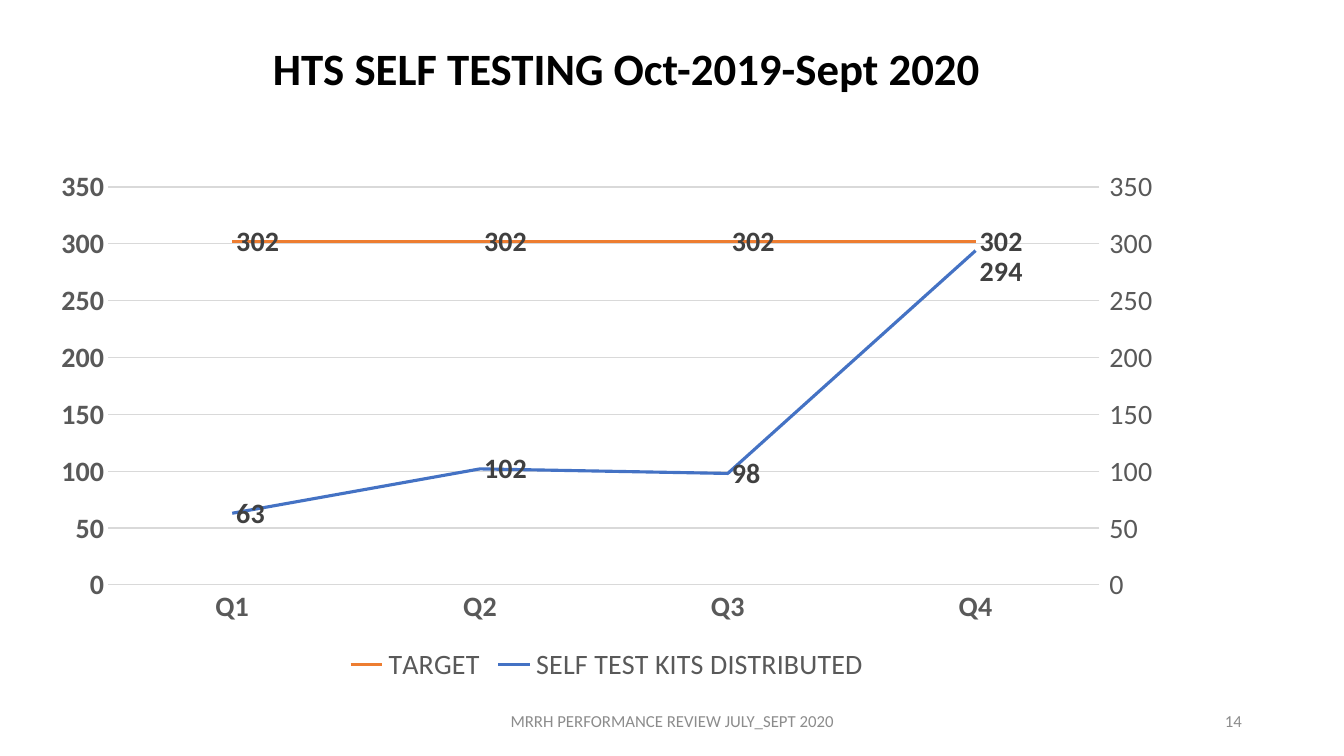
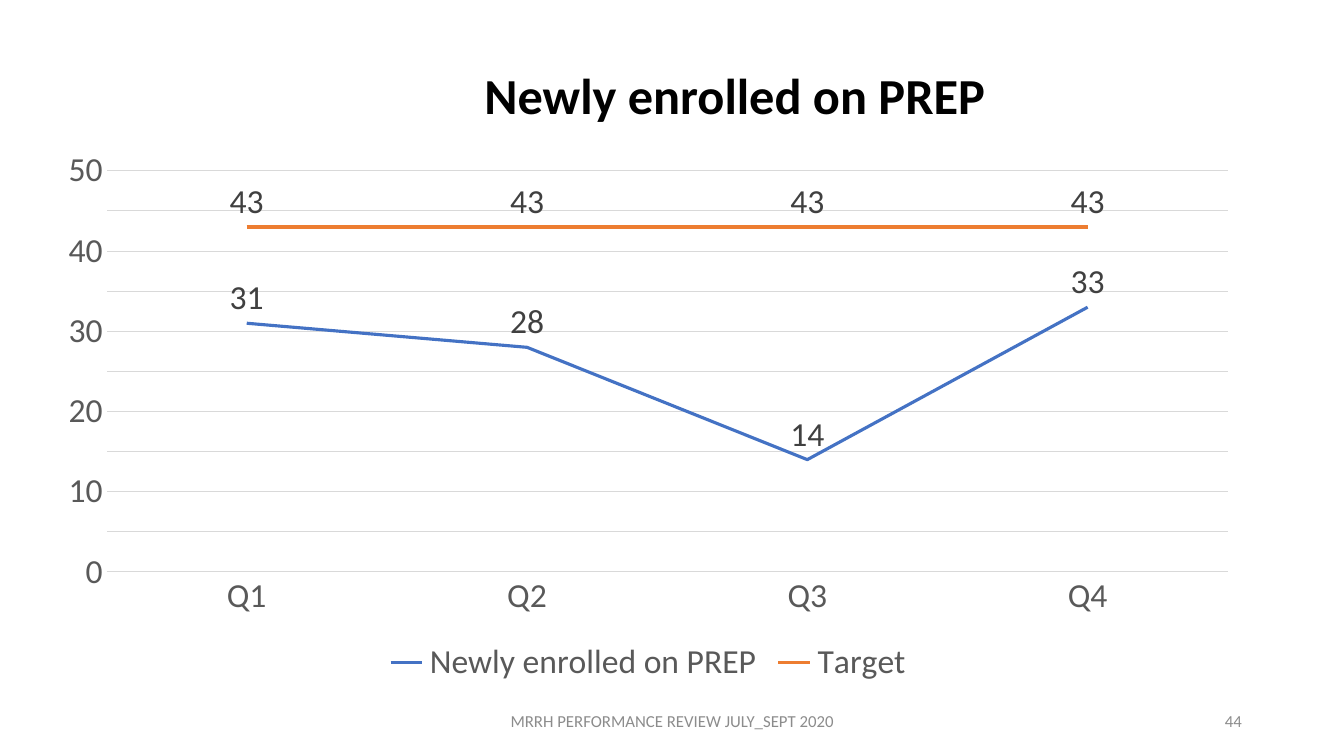
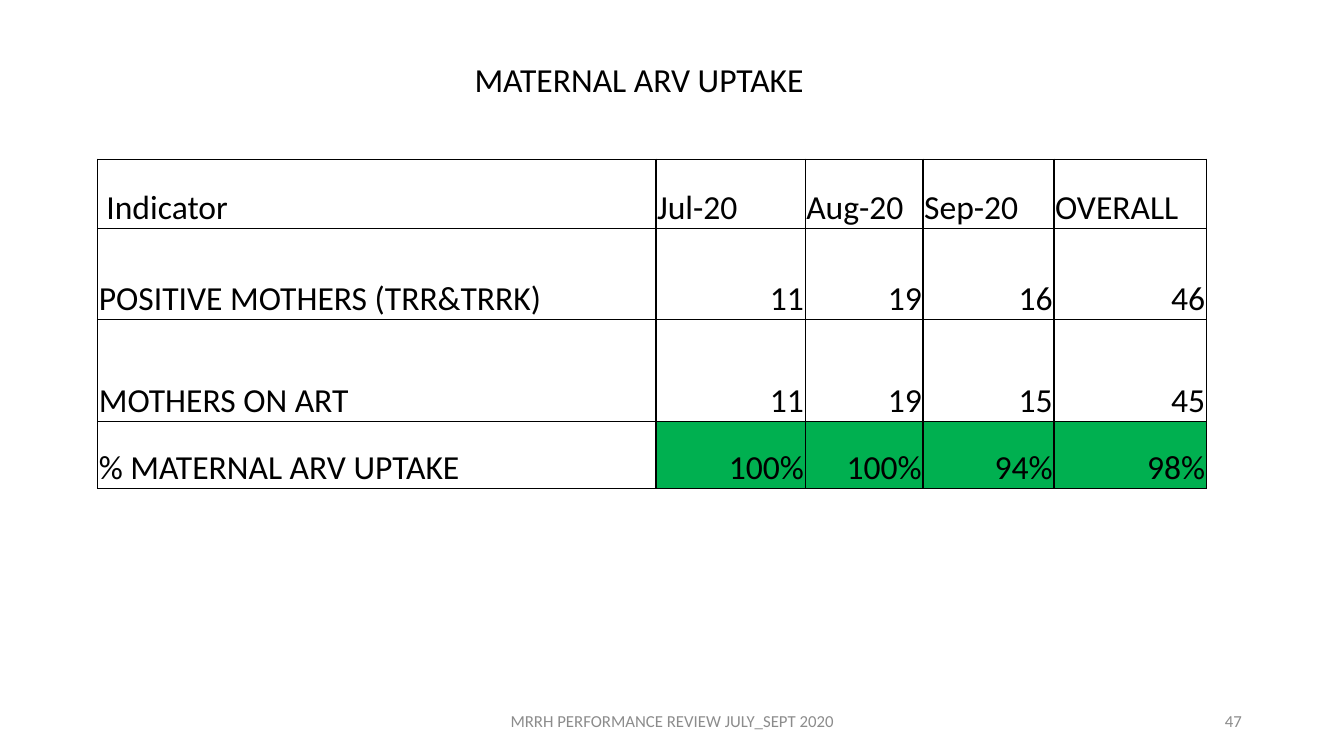
from copy import deepcopy

from pptx import Presentation
from pptx.chart.data import CategoryChartData
from pptx.dml.color import RGBColor
from pptx.enum.chart import XL_CHART_TYPE as ChartType
from pptx.enum.chart import XL_LABEL_POSITION as LabelPosition
from pptx.enum.chart import XL_LEGEND_POSITION as LegendPosition
from pptx.enum.chart import XL_TICK_MARK as TickMark
from pptx.enum.text import MSO_ANCHOR as Anchor
from pptx.enum.text import PP_ALIGN as Align
from pptx.oxml import parse_xml
from pptx.oxml.ns import nsdecls
from pptx.util import Cm, Pt

FONT = "Calibri"
BLACK = "000000"
FOOTER_GREY = "8C8C8C"
AXIS_GREY = "595959"
LABEL_GREY = "404040"
GRID_GREY = "D9D9D9"
ORANGE = "ED7D31"
BLUE = "4472C4"
GREEN = "00B050"
FOOTER = "MRRH PERFORMANCE REVIEW JULY_SEPT 2020"
QUARTERS = ["Q1", "Q2", "Q3", "Q4"]


def rgb(color):
    return RGBColor.from_string(color)


def set_font(font, size, color=BLACK, bold=False):
    font.name = FONT
    font.size = Pt(size)
    font.bold = bold
    font.color.rgb = rgb(color)


def set_line(line, color, width):
    line.color.rgb = rgb(color)
    line.width = Pt(width)


def write(frame, text, size=24, color=BLACK, bold=False, align=Align.LEFT, anchor=Anchor.TOP):
    frame.word_wrap = True
    frame.vertical_anchor = anchor
    paragraph = frame.paragraphs[0]
    paragraph.alignment = align
    run = paragraph.add_run()
    run.text = text
    set_font(run.font, size, color, bold)


def add_text(slide, box, text, **style):
    write(slide.shapes.add_textbox(*map(Cm, box)).text_frame, text, **style)


def add_page(deck, number, title, title_box, **title_style):
    slide = deck.slides.add_slide(deck.slide_layouts[6])
    footer_style = dict(size=12, color=FOOTER_GREY, anchor=Anchor.MIDDLE)
    add_text(slide, (11.23, 17.65, 11.43, 1.02), FOOTER, align=Align.CENTER, **footer_style)
    add_text(slide, (23.93, 17.65, 7.62, 1.02), str(number), align=Align.RIGHT, **footer_style)
    add_text(slide, title_box, title, **title_style)
    return slide


def add_line_chart(slide, box, series, size, top, step, position, bold=False):
    data = CategoryChartData()
    data.categories = QUARTERS
    for name, values, _ in series:
        data.add_series(name, values)
    chart = slide.shapes.add_chart(ChartType.LINE, *map(Cm, box), data).chart
    set_font(chart.font, size)
    chart.has_title = False
    chart.has_legend = True
    chart.legend.position = LegendPosition.BOTTOM
    chart.legend.include_in_layout = False
    set_font(chart.legend.font, size, AXIS_GREY)

    quarters, amounts = chart.category_axis, chart.value_axis
    for axis in (quarters, amounts):
        axis.major_tick_mark = axis.minor_tick_mark = TickMark.NONE
        set_font(axis.tick_labels.font, size, AXIS_GREY, bold)
    set_line(quarters.format.line, GRID_GREY, 0.75)
    amounts.format.line.fill.background()
    amounts.minimum_scale, amounts.maximum_scale = 0, top
    amounts.major_unit = step
    set_line(amounts.major_gridlines.format.line, GRID_GREY, 0.75)

    plot = chart.plots[0]
    plot.vary_by_categories = False
    for trend, (_, _, color) in zip(plot.series, series):
        trend.smooth = False
        set_line(trend.format.line, color, 2.25)
        labels = trend.data_labels
        labels.show_value = True
        labels.position = position
        set_font(labels.font, size, LABEL_GREY, bold)
    return chart


def lower_last_label(chart, size, drop):
    trend = chart.plots[0].series[-1]
    label = trend.points[len(QUARTERS) - 1].data_label
    set_font(label.font, size, LABEL_GREY, True)
    label.position = LabelPosition.RIGHT
    trend._element.xpath(".//c:dLbl/c:idx")[0].addnext(parse_xml(
        f'<c:layout {nsdecls("c")}><c:manualLayout><c:x val="0"/>'
        f'<c:y val="{drop}"/></c:manualLayout></c:layout>'))


def set_values(element, **values):
    for tag, value in values.items():
        element.xpath(f"c:{tag}")[0].set("val", value)


def move_last_series_right(chart):
    left_plot = chart._chartSpace.xpath(".//c:lineChart")[0]
    right_plot = deepcopy(left_plot)
    left_plot.remove(left_plot.xpath("c:ser")[-1])
    right_plot.remove(right_plot.xpath("c:ser")[0])
    left_plot.addnext(right_plot)
    quarter_id, amount_id = "50010", "50020"
    for axis_id, value in zip(right_plot.xpath("c:axId"), (quarter_id, amount_id)):
        axis_id.set("val", value)

    left_amounts = chart.value_axis._element
    quarters = deepcopy(chart.category_axis._element)
    amounts = deepcopy(left_amounts)
    set_values(quarters, axId=quarter_id, crossAx=amount_id, delete="1")
    set_values(amounts, axId=amount_id, crossAx=quarter_id, axPos="r",
               crosses="max", majorTickMark="out")
    amounts.remove(amounts.xpath("c:majorGridlines")[0])
    amounts.xpath(".//a:defRPr")[0].set("b", "0")
    left_amounts.addnext(amounts)
    amounts.addnext(quarters)


def add_borders(cell, color, width):
    properties = cell._tc.get_or_add_tcPr()
    for side in "LRTB":
        properties.append(parse_xml(
            f'<a:ln{side} {nsdecls("a")} w="{Pt(width)}"><a:solidFill>'
            f'<a:srgbClr val="{color}"/></a:solidFill></a:ln{side}>'))


def fill_cell(cell, text, align, color):
    cell.margin_left = cell.margin_right = cell.margin_top = Cm(0.03)
    cell.margin_bottom = 0
    cell.vertical_anchor = Anchor.BOTTOM
    paragraph = cell.text_frame.paragraphs[0]
    paragraph.alignment = align
    run = paragraph.add_run()
    run.text = text
    set_font(run.font, 24)
    add_borders(cell, BLACK, 1)
    if color:
        cell.fill.solid()
        cell.fill.fore_color.rgb = rgb(color)
    else:
        cell.fill.background()


def add_grid(slide, left, top, widths, heights, rows):
    table = slide.shapes.add_table(
        len(heights), len(widths), Cm(left), Cm(top), Cm(sum(widths)), Cm(sum(heights))).table
    table.first_row = table.horz_banding = False
    for column, width in zip(table.columns, widths):
        column.width = Cm(width)
    for row, height in zip(table.rows, heights):
        row.height = Cm(height)
    for r, row in enumerate(rows):
        for c, text in enumerate(row):
            align = Align.RIGHT if r and c else Align.LEFT
            color = GREEN if c and text.endswith("%") else None
            fill_cell(table.cell(r, c), text, align, color)


def main():
    deck = Presentation()
    deck.slide_width, deck.slide_height = Cm(33.87), Cm(19.05)

    self_testing = add_page(deck, 14, "HTS SELF TESTING Oct-2019-Sept 2020",
                            (6.63, 0.91, 18.8, 1.63), size=32, bold=True)
    kits = add_line_chart(
        self_testing, (0.97, 4.01, 28.65, 13.31),
        [("TARGET", [302] * 4, ORANGE),
         ("SELF TEST KITS DISTRIBUTED", [63, 102, 98, 294], BLUE)],
        size=20, top=350, step=50, position=LabelPosition.RIGHT, bold=True)
    lower_last_label(kits, 20, 0.04)
    move_last_series_right(kits)

    prep = add_page(deck, 44, "Newly enrolled on PREP",
                    (11.96, 1.5, 13.56, 1.8), size=36, bold=True)
    add_line_chart(
        prep, (1.12, 3.51, 30.43, 13.87),
        [("Newly enrolled on PREP", [31, 28, 14, 33], BLUE),
         ("Target", [43] * 4, ORANGE)],
        size=24, top=50, step=5, position=LabelPosition.ABOVE)

    uptake = add_page(deck, 47, "MATERNAL ARV UPTAKE", (11.71, 1.35, 9.07, 1.27))
    add_grid(
        uptake, 2.46, 4.01, [14.07, 3.76, 2.97, 3.3, 3.84], [1.75, 2.29, 2.57, 1.68],
        [[" Indicator", "Jul-20", "Aug-20", "Sep-20", "OVERALL"],
         ["POSITIVE MOTHERS (TRR&TRRK)", "11", "19", "16", "46"],
         ["MOTHERS ON ART", "11", "19", "15", "45"],
         ["% MATERNAL ARV UPTAKE", "100%", "100%", "94%", "98%"]])

    deck.save("out.pptx")


if __name__ == "__main__":
    main()
